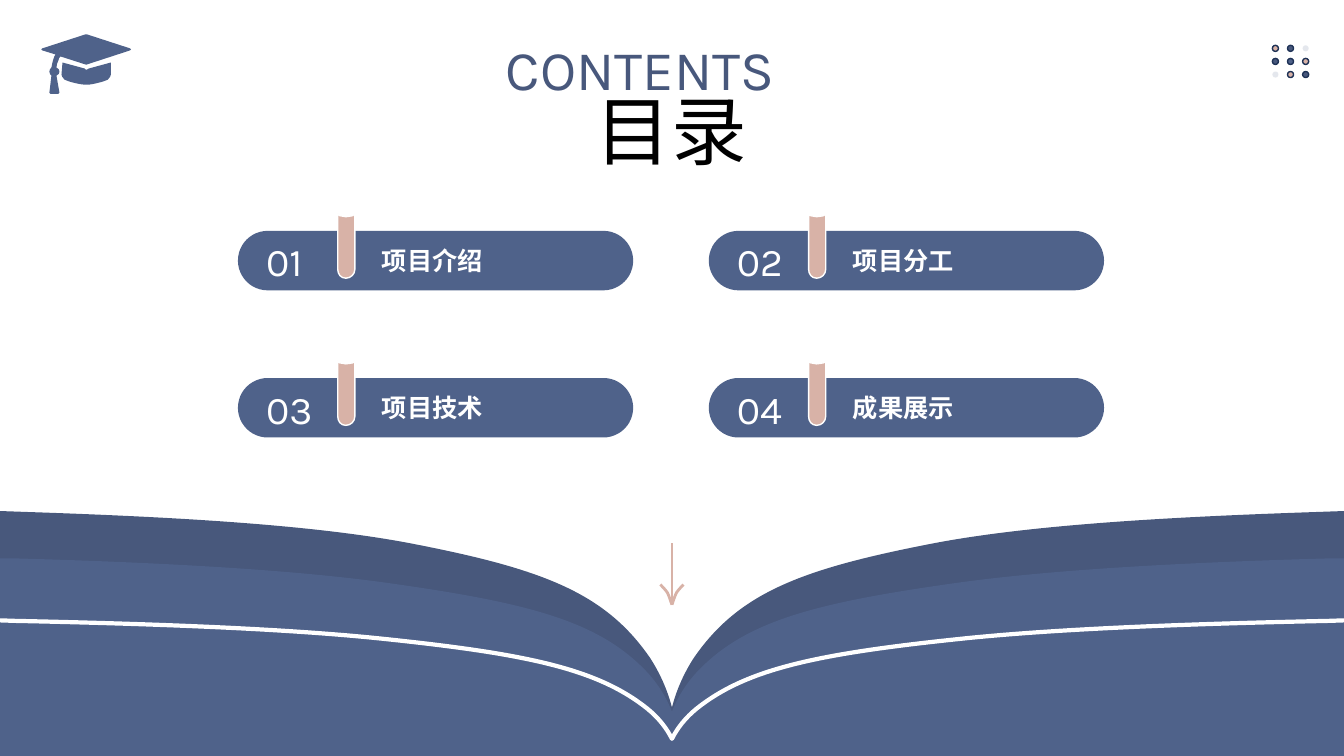
from lxml import etree
from pptx import Presentation
from pptx.dml.color import RGBColor
from pptx.enum.shapes import MSO_CONNECTOR, MSO_SHAPE
from pptx.enum.text import MSO_ANCHOR, MSO_AUTO_SIZE, PP_ALIGN
from pptx.oxml.ns import qn
from pptx.util import Inches, Pt

ELLIPSE, PILL = MSO_SHAPE.OVAL, MSO_SHAPE.ROUNDED_RECTANGLE
STRAIGHT = MSO_CONNECTOR.STRAIGHT
TOP, LEFT = MSO_ANCHOR.TOP, PP_ALIGN.LEFT
FIT_SHAPE = MSO_AUTO_SIZE.SHAPE_TO_FIT_TEXT

COLORS = {"blue": "4F628A", "dark": "48587C", "navy": "1E3256",
          "rose": "D8B2A7", "white": "FFFFFF", "black": "000000"}
LATIN, CHINESE = "Karla", "Noto Sans CJK SC"
WIDTH, HEIGHT = 13.33, 7.5
CENTER = WIDTH / 2

# Path steps: two numbers are a line's end, six are a cubic curve.
CAP_BOARD = [
    (1.3, 0.49), (1.3, 0.5, 1.3, 0.5, 1.29, 0.5), (0.86, 0.64), (0.85, 0.64),
    (0.6, 0.56), (0.59, 0.57, 0.58, 0.58, 0.58, 0.6),
    (0.57, 0.62, 0.56, 0.64, 0.56, 0.67),
    (0.58, 0.68, 0.59, 0.69, 0.59, 0.71), (0.59, 0.73, 0.58, 0.74, 0.56, 0.75),
    (0.59, 0.92), (0.59, 0.92, 0.59, 0.93, 0.58, 0.93), (0.5, 0.93),
    (0.49, 0.93, 0.49, 0.92, 0.49, 0.92), (0.51, 0.75),
    (0.5, 0.74, 0.49, 0.73, 0.49, 0.71), (0.49, 0.69, 0.5, 0.68, 0.51, 0.67),
    (0.52, 0.62, 0.53, 0.57, 0.55, 0.54), (0.42, 0.5),
    (0.42, 0.5, 0.41, 0.5, 0.41, 0.49), (0.41, 0.49, 0.42, 0.48, 0.42, 0.48),
    (0.85, 0.34), (0.86, 0.34), (1.29, 0.48)]
CAP_BOWL = [
    (1.1, 0.62), (1.1, 0.74), (1.1, 0.75, 1.09, 0.77, 1.07, 0.79),
    (1.05, 0.8, 1.02, 0.81, 0.98, 0.82), (0.94, 0.83, 0.9, 0.84, 0.86, 0.84),
    (0.81, 0.84, 0.77, 0.83, 0.73, 0.82), (0.69, 0.81, 0.66, 0.8, 0.64, 0.79),
    (0.62, 0.77, 0.61, 0.75, 0.61, 0.74), (0.62, 0.62), (0.84, 0.68),
    (0.84, 0.69, 0.85, 0.69, 0.86, 0.69), (0.86, 0.69, 0.87, 0.69, 0.88, 0.68)]
BOOKMARK = [
    (0, 0.55), (0, 0), (0.02, 0.02), (0.04, 0.02, 0.06, 0.03, 0.08, 0.03),
    (0.11, 0.03, 0.13, 0.02, 0.15, 0.02), (0.17, 0), (0.17, 0.55),
    (0.17, 0.6, 0.13, 0.64, 0.08, 0.64), (0.03, 0.64, 0, 0.6, 0, 0.55)]
ARROW_BARB = [(6.55, 5.8), (6.57, 5.82, 6.6, 5.85, 6.62, 5.88),
              (6.64, 5.92, 6.65, 5.96, CENTER, 6)]

# Left half of each page's edge, bottom of the page, formats.
PAGES = [
    ([(0, 5.07), (0.28, 5.08), (1.77, 5.13, 3.16, 5.21, 4.12, 5.4),
      (5.4, 5.65, 6.01, 5.89, 6.45, 6.53), (6.54, 6.67, 6.62, 6.84, CENTER, 7.02)],
     HEIGHT, {"fill": "dark"}),
    ([(0, 5.54), (0.16, 5.54), (1.58, 5.58, 2.88, 5.65, 3.82, 5.78),
      (5.25, 5.98, 5.94, 6.16, 6.42, 6.67), (6.53, 6.79, 6.61, 6.92, CENTER, 7.06)],
     HEIGHT, {"fill": "blue"}),
    ([(-0.14, 6.15), (0.15, 6.16), (1.58, 6.19, 2.88, 6.24, 3.82, 6.34),
      (5.25, 6.49, 5.93, 6.64, 6.42, 7.03), (6.53, 7.12, 6.61, 7.22, CENTER, 7.33)],
     7.65, {"fill": "blue", "line": "white", "width": 3}),
]
DOTS = ["rose", "dark", None, "dark", "blue", "rose", None, "rose", "dark"]
TOPICS = ["项目介绍", "项目分工", "项目技术", "成果展示"]


def rgb(name):
    return RGBColor.from_string(COLORS[name])


def pairs(step):
    return list(zip(step[::2], step[1::2]))


def mirror(steps):
    """Run the steps backwards, reflected about the slide's centre."""
    mirrored = [(2 * CENTER - steps[-1][-2], steps[-1][-1])]
    for before, step in zip(steps[-2::-1], steps[:0:-1]):
        points = pairs(step)[-2::-1] + [before[-2:]]
        mirrored.append(tuple(value for x, y in points for value in (2 * CENTER - x, y)))
    return mirrored


def shift(steps, dx, dy):
    return [tuple(value for x, y in pairs(step) for value in (x + dx, y + dy))
            for step in steps]


def paint(shape, fill=None, line=None, width=1):
    shape.shadow.inherit = False
    if fill:
        shape.fill.solid()
        shape.fill.fore_color.rgb = rgb(fill)
    else:
        shape.fill.background()
    if line:
        shape.line.color.rgb = rgb(line)
        shape.line.width = Pt(width)
    else:
        shape.line.fill.background()


def bend(shape, steps):
    """Replace the straight segments that stand for cubic curves."""
    outline = shape._element.spPr.find(".//" + qn("a:path"))
    segments = [item for item in outline if item.tag != qn("a:close")]
    for segment, step in zip(segments, steps):
        if len(step) == 6:
            curve = etree.Element(qn("a:cubicBezTo"))
            for x, y in pairs(step):
                point = etree.SubElement(curve, qn("a:pt"))
                point.set("x", str(Inches(x) - shape.left))
                point.set("y", str(Inches(y) - shape.top))
            outline.replace(segment, curve)


def add_outline(shapes, contours, closed=True, **formats):
    builder = None
    for steps in contours:
        ends = [(Inches(step[-2]), Inches(step[-1])) for step in steps]
        if builder is None:
            builder = shapes.build_freeform(*ends[0])
        else:
            builder.move_to(*ends[0])
        builder.add_line_segments(ends[1:], close=closed)
    shape = builder.convert_to_shape()
    bend(shape, sum(contours, []))
    paint(shape, **formats)


def add_preset(shapes, preset, box, **formats):
    shape = shapes.add_shape(preset, *map(Inches, box))
    paint(shape, **formats)
    return shape


def write(shape, text, size, color, font=LATIN, bold=False):
    frame = shape.text_frame
    frame_formats = {"word_wrap": False, "auto_size": FIT_SHAPE, "vertical_anchor": TOP}
    for name, value in frame_formats.items():
        setattr(frame, name, value)
    paragraph = frame.paragraphs[0]
    paragraph.alignment = LEFT
    run = paragraph.add_run()
    run.text = text
    run.font.color.rgb = rgb(color)
    for name, value in {"name": font, "size": Pt(size), "bold": bold}.items():
        setattr(run.font, name, value)
    east_asian = etree.SubElement(run.font._element, qn("a:ea"))
    east_asian.set("typeface", CHINESE)
    return run


def add_text(shapes, box, *text_formats, **more_formats):
    return write(shapes.add_textbox(*map(Inches, box)), *text_formats, **more_formats)


def add_heading(shapes):
    """Add the hollow, outlined English heading."""
    run = add_text(shapes, (4.92, 0.29, 3.5, 0.77), "CONTENTS", 40, "dark")
    run.font.fill.background()
    line = etree.Element(qn("a:ln"), w=str(Pt(0.75)))
    fill = etree.SubElement(line, qn("a:solidFill"))
    etree.SubElement(fill, qn("a:srgbClr"), val=COLORS["dark"])
    run.font._element.insert(0, line)


def add_title(slide):
    title = slide.shapes.title
    box = {"left": 5.81, "top": 0.78, "width": 1.72, "height": 1.01}
    for name, value in box.items():
        setattr(title, name, Inches(value))
    write(title, "目录", 54, "black", font=CHINESE)


def add_dots(shapes):
    for index, color in enumerate(DOTS):
        row, column = divmod(index, 3)
        box = (12.62 + 0.15 * column, 0.45 + 0.13 * row, 0.06, 0.06)
        if color:
            add_preset(shapes, ELLIPSE, box, fill=color, line="navy")
        else:
            dot = add_preset(shapes, ELLIPSE, box, fill="blue")
            fill_color = dot._element.spPr.find(".//" + qn("a:srgbClr"))
            etree.SubElement(fill_color, qn("a:alpha")).set("val", "15000")


def add_book(shapes):
    for left, bottom, formats in PAGES:
        right = mirror(left)
        corners = [(right[-1][-2], bottom), (left[0][0], bottom)]
        add_outline(shapes, [left + right[1:] + corners], **formats)


def add_arrow(shapes):
    shaft = shapes.add_connector(STRAIGHT, *map(Inches, (CENTER, 5.39, CENTER, 5.99)))
    shaft.line.color.rgb = rgb("rose")
    shaft.line.width = Pt(2)
    etree.SubElement(shaft._element.spPr, qn("a:effectLst"))
    for barb in (mirror(ARROW_BARB), ARROW_BARB):
        add_outline(shapes, [barb], closed=False, line="rose", width=2)


def add_topic(shapes, x, y, number, topic):
    pill = add_preset(shapes, PILL, (x, y, 3.92, 0.59), fill="blue")
    pill.adjustments[0] = 0.5
    add_text(shapes, (x + 0.18, y + 0.02, 0.72, 0.57), number, 28, "white")
    add_text(shapes, (x + 1.33, y + 0.09, 1.21, 0.4), topic, 18, "white", bold=True)
    add_outline(shapes, [shift(BOOKMARK, x + 0.99, y - 0.17)], fill="rose", line="white")


def main():
    presentation = Presentation()
    presentation.slide_width, presentation.slide_height = Inches(WIDTH), Inches(HEIGHT)
    slide = presentation.slides.add_slide(presentation.slide_layouts[5])
    shapes = slide.shapes
    add_outline(shapes, [CAP_BOARD, CAP_BOWL], fill="blue")
    add_heading(shapes)
    add_title(slide)
    add_dots(shapes.add_group_shape().shapes)
    add_book(shapes)
    add_arrow(shapes.add_group_shape().shapes)
    for index, topic in enumerate(TOPICS):
        row, column = divmod(index, 2)
        add_topic(shapes.add_group_shape().shapes, 2.36 + 4.67 * column,
                  2.29 + 1.46 * row, f"{index + 1:02}", topic)
    presentation.save("out.pptx")


if __name__ == "__main__":
    main()
